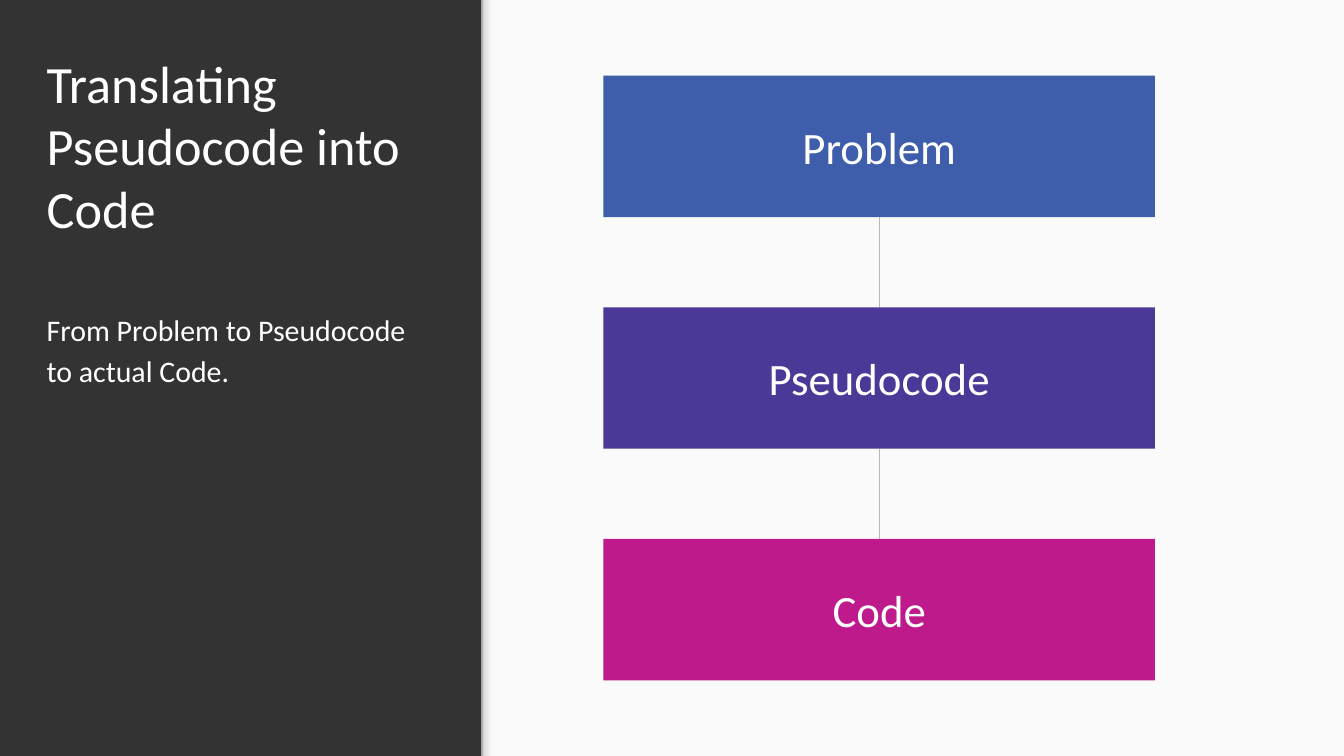
from copy import deepcopy

from pptx import Presentation
from pptx import util as u
from pptx.dml.color import RGBColor
from pptx.enum import shapes, text
from pptx.oxml.ns import qn
from lxml import etree

PX = 6350  # EMU per px, 144 px to the inch
WIDTH, HEIGHT = 2880, 1619


def px(n):
    return u.Emu(n * PX)


def color(hex_code):
    return RGBColor.from_string(hex_code)


def write(sp, words, size, align="LEFT", anchor="TOP", spacing=None, after=0):
    tf = sp.text_frame
    tf.word_wrap = True
    tf.vertical_anchor = getattr(text.MSO_ANCHOR, anchor)
    tf.margin_left = tf.margin_right = tf.margin_top = tf.margin_bottom = px(29)
    p = tf.paragraphs[0]
    p.alignment = getattr(text.PP_ALIGN, align)
    p.line_spacing = spacing
    p.space_after = u.Pt(after)
    r = p.add_run()
    r.text = words
    r.font.name = Deck.font
    r.font.size = u.Pt(size)
    r.font.color.rgb = color(Deck.ink)


class Deck:
    font = "Calibri"
    ink = "FFFFFF"
    line = "B7B7B7"

    def __init__(self, s):
        self.s = s

    def rect(self, x, y, w, h, fill=None):
        sp = self.s.shapes.add_shape(shapes.MSO_SHAPE.RECTANGLE, px(x), px(y), px(w), px(h))
        sp.shadow.inherit = False
        sp.line.fill.background()
        if fill:
            sp.fill.solid()
            sp.fill.fore_color.rgb = color(fill)
        return sp

    def gradient(self, x, y, w, h, stops):
        sp = self.rect(x, y, w, h)
        sp.fill.gradient()
        sp.fill.gradient_angle = 0
        stop_list = sp._element.spPr.find(qn("a:gradFill")).find(qn("a:gsLst"))
        for _ in stops[2:]:
            stop_list.append(deepcopy(stop_list[0]))
        for stop, (position, hex_code) in zip(sp.fill.gradient_stops, stops):
            stop.position = position
            stop.color.rgb = color(hex_code)

    def textbox(self, x, y, w, h, words, **fmt):
        write(self.s.shapes.add_textbox(px(x), px(y), px(w), px(h)), words, **fmt)

    def box(self, x, y, w, h, words, fill):
        sp = self.rect(x, y, w, h, fill)
        write(sp, words, size=48, align="CENTER", anchor="MIDDLE")
        return sp

    def link(self, upper, lower):
        c = self.s.shapes.add_connector(shapes.MSO_CONNECTOR.STRAIGHT, 0, 0, 0, 0)
        c.begin_connect(upper, 2)
        c.end_connect(lower, 0)
        c.line.color.rgb = color(self.line)
        c.line.width = u.Pt(0.75)
        etree.SubElement(c._element.spPr, qn("a:effectLst"))


def main():
    prs = Presentation()
    prs.slide_width, prs.slide_height = px(WIDTH), px(HEIGHT)
    s = prs.slides.add_slide(prs.slide_layouts[6])
    s.background.fill.solid()
    s.background.fill.fore_color.rgb = color("333333")
    deck = Deck(s)

    # Light panel with a shaded left edge
    deck.rect(1032, 0, WIDTH - 1032, HEIGHT, "FAFAFA")
    deck.gradient(1031, 0, 35, HEIGHT,
                  [(0, "999999"), (0.2, "DEDEDE"), (0.64, "F9F9F9"), (1, "F9F9F9")])

    # Title and summary
    deck.textbox(71, 113, 884, 428, "Translating Pseudocode into Code", size=56, anchor="BOTTOM")
    deck.textbox(71, 627, 884, 831, "From Problem to Pseudocode to actual Code.",
                 size=32, spacing=1.15, after=16)

    # Steps, evenly spaced from top to bottom
    steps = [("Problem", "3E5DAA"), ("Pseudocode", "4C3896"), ("Code", "BE1A8C")]
    boxes = [deck.box(1293, 162 + 496 * i, 1182, 303, words, fill)
             for i, (words, fill) in enumerate(steps)]
    for upper, lower in zip(boxes, boxes[1:]):
        deck.link(upper, lower)

    prs.save("out.pptx")


if __name__ == "__main__":
    main()
